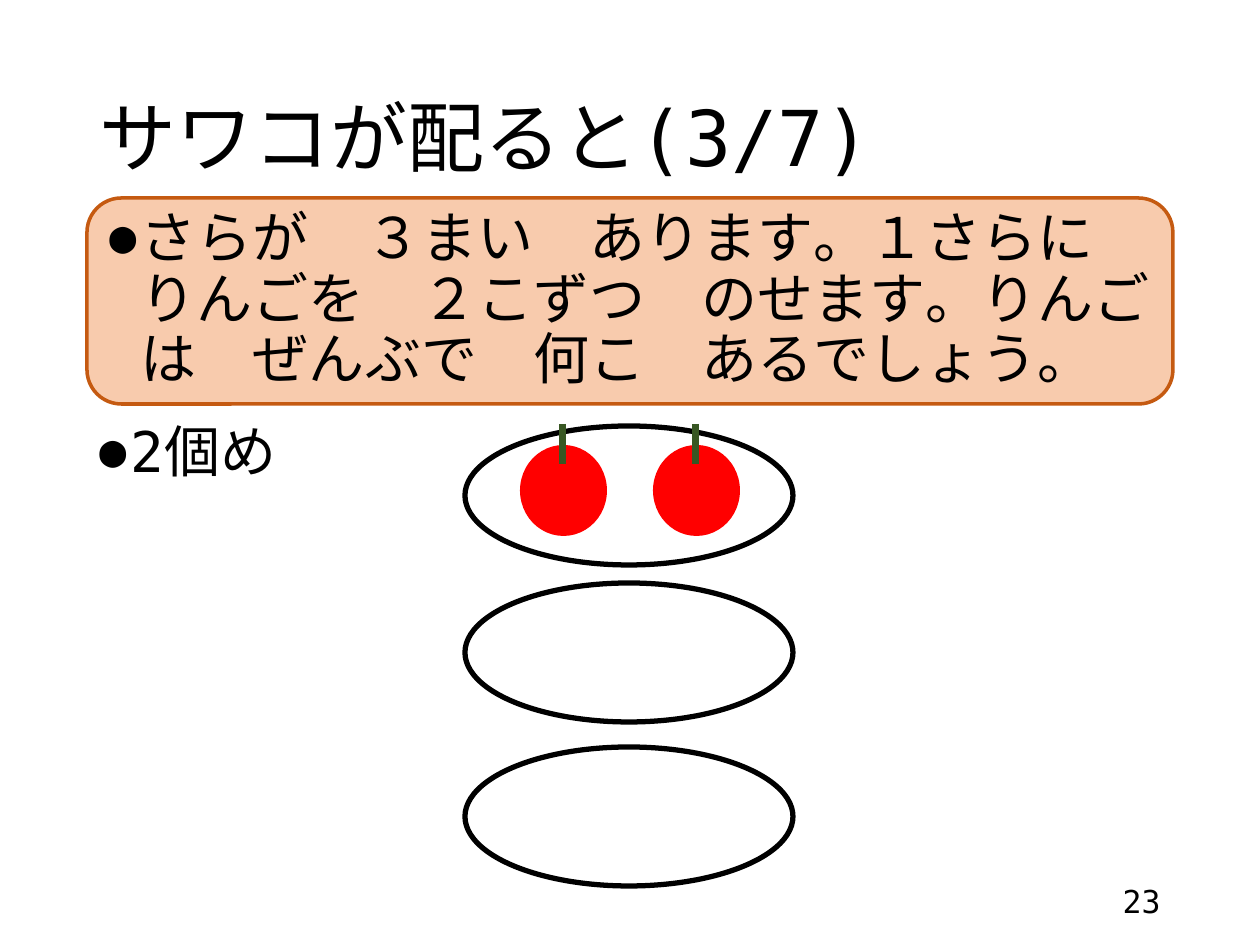
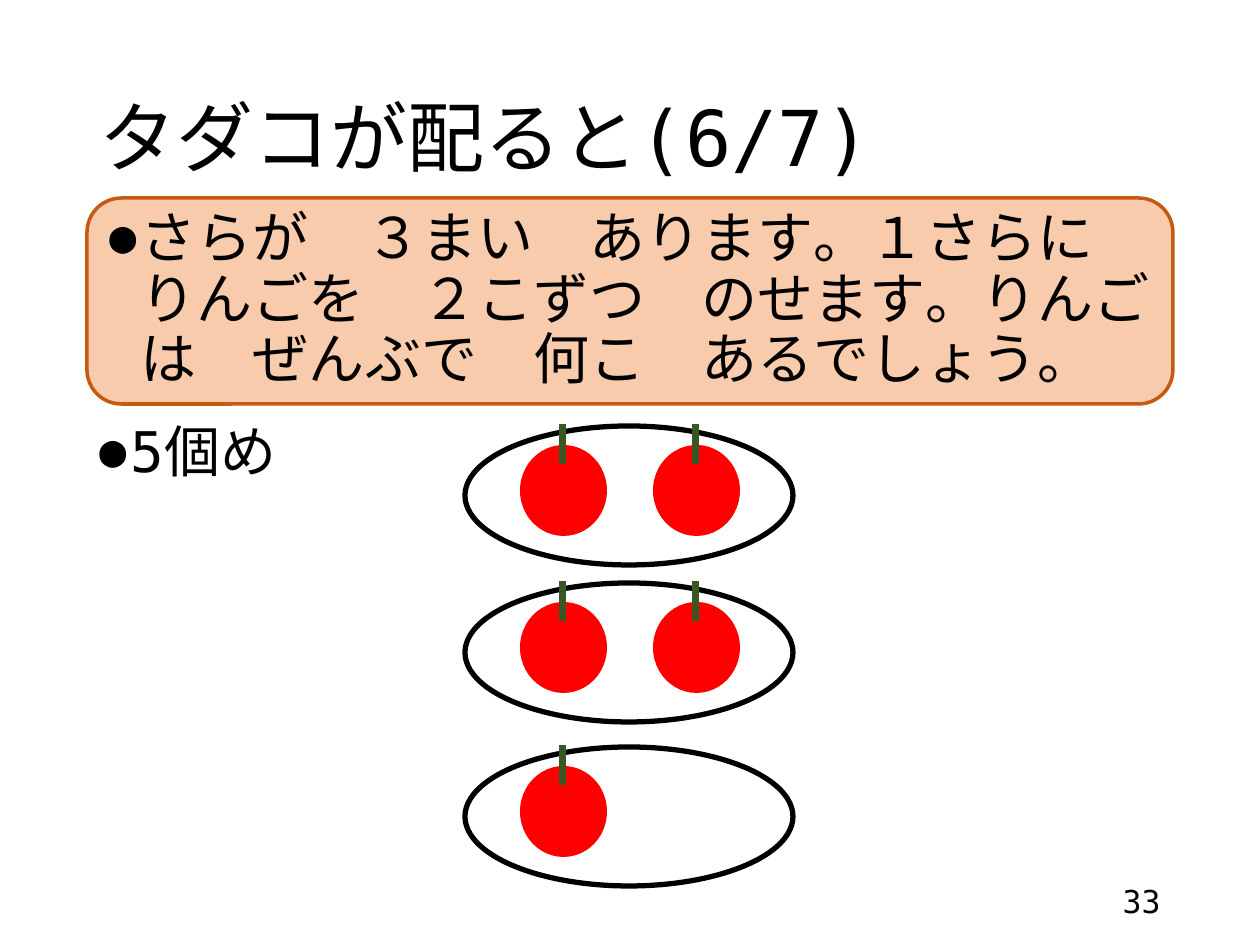
from lxml import etree
from pptx import Presentation
from pptx.dml.color import RGBColor
from pptx.enum.lang import MSO_LANGUAGE_ID
from pptx.enum.shapes import MSO_CONNECTOR, MSO_SHAPE
from pptx.enum.text import MSO_ANCHOR, PP_ALIGN
from pptx.oxml.ns import qn
from pptx.util import Emu, Pt

OVAL, ROUND = MSO_SHAPE.OVAL, MSO_SHAPE.ROUNDED_RECTANGLE
LINE = MSO_CONNECTOR.STRAIGHT
TOP, MIDDLE = MSO_ANCHOR.TOP, MSO_ANCHOR.MIDDLE
LEFT, RIGHT = PP_ALIGN.LEFT, PP_ALIGN.RIGHT
JAPAN = MSO_LANGUAGE_ID.JAPANESE

PX = 914400 / 126
FONT = "DejaVu Sans Mono"
BLACK, WHITE, RED, GREEN = "000000", "FFFFFF", "FF0000", "385723"
PEACH, RUST = "F8CBAD", "C55A11"
rgb = RGBColor.from_string

TASK = ("さらが　３まい　あります。１さらに　りんごを　２こずつ　のせます。"
        "りんごは　ぜんぶで　何こ　あるでしょう。")
# Title, step, page number, apples on each plate from top to bottom
SLIDES = [
    ("サワコが配ると(3/7)", "2個め", "23", (2, 0, 0)),
    ("タダコが配ると(6/7)", "5個め", "33", (2, 2, 1)),
]
PLATES = (426, 583, 747)
APPLES = (520, 653)


def px(*nums):
    return [Emu(round(n * PX)) for n in nums]


def write(shape, text, size, anchor=MIDDLE, align=LEFT, bullet=False, space=0.9):
    """Fill a shape with one paragraph of black text, bulleted if asked."""
    frame = shape.text_frame
    frame.word_wrap = True
    frame.vertical_anchor = anchor
    para = frame.paragraphs[0]
    if bullet:
        props = para._p.get_or_add_pPr()
        props.set("marL", "228600")
        props.set("indent", "-228600")
        etree.SubElement(props, qn("a:buSzPct")).set("val", "80000")
        etree.SubElement(props, qn("a:buFont")).set("typeface", FONT)
        etree.SubElement(props, qn("a:buChar")).set("char", "●")
    para.alignment = align
    para.line_spacing = space
    run = para.add_run()
    run.text = text
    run.font.size = Pt(size)
    run.font.name = FONT
    run.font.language_id = JAPAN
    run.font.color.rgb = rgb(BLACK)
    look = run._r.get_or_add_rPr()
    look.set("kern", "1200")
    etree.SubElement(look, qn("a:ea")).set("typeface", FONT)


deck = Presentation()
deck.slide_width, deck.slide_height = px(1260, 945)

for title, step, page, counts in SLIDES:
    slide = deck.slides.add_slide(deck.slide_layouts[6])
    shapes = slide.shapes
    write(shapes.add_textbox(*px(87, 50, 1086, 183)), title, 44)
    write(shapes.add_textbox(*px(890, 876, 283, 50)), page, 18,
          align=RIGHT, space=1.0)

    card = shapes.add_shape(ROUND, *px(87, 198, 1086, 206))
    card.shadow.inherit = False
    card.fill.solid()
    card.fill.fore_color.rgb = rgb(PEACH)
    card.line.color.rgb = rgb(RUST)
    card.line.width = Pt(2)
    write(card, TASK, 32, bullet=True)

    for top, count in zip(PLATES, counts):
        plate = shapes.add_shape(OVAL, *px(465, top, 328, 139))
        plate.shadow.inherit = False
        plate.fill.solid()
        plate.fill.fore_color.rgb = rgb(WHITE)
        plate.line.color.rgb = rgb(BLACK)
        plate.line.width = Pt(3)

        for left in APPLES[:count]:
            group = shapes.add_group_shape().shapes
            apple = group.add_shape(OVAL, *px(left, top + 19, 87, 91))
            apple.shadow.inherit = False
            apple.fill.solid()
            apple.fill.fore_color.rgb = rgb(RED)
            apple.line.fill.background()
            mid = left + 43
            stem = group.add_connector(LINE, *px(mid, top - 2, mid, top + 38))
            stem.line.color.rgb = rgb(GREEN)
            stem.line.width = Pt(4)
            etree.SubElement(stem._element.spPr, qn("a:effectLst"))

    write(shapes.add_textbox(*px(87, 418, 1086, 432)), step, 32, TOP, bullet=True)

deck.save("out.pptx")
